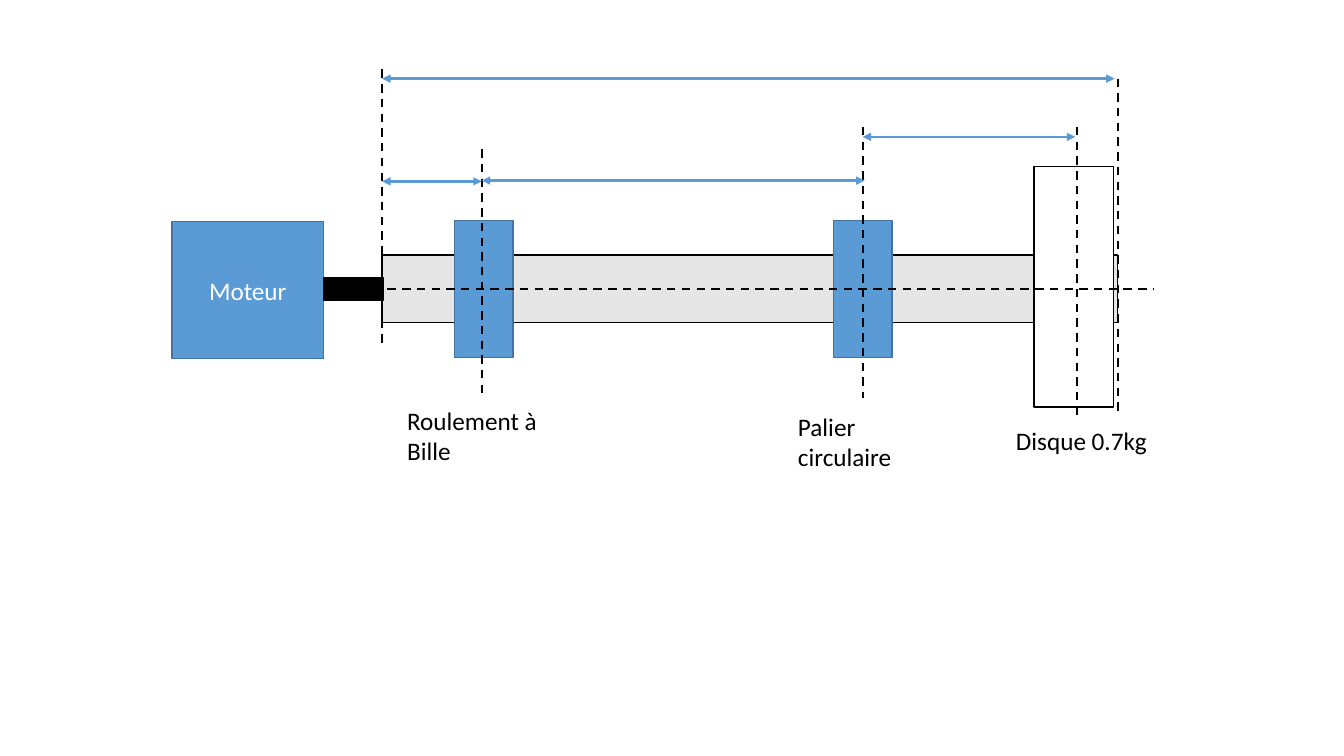
from dataclasses import dataclass

from lxml import etree
from pptx import Presentation
from pptx.dml.color import RGBColor
from pptx.enum.dml import MSO_LINE
from pptx.enum.shapes import MSO_CONNECTOR, MSO_SHAPE
from pptx.enum.text import MSO_ANCHOR, PP_ALIGN
from pptx.oxml.ns import qn
from pptx.util import Cm, Pt

RECT = MSO_SHAPE.RECTANGLE
STRAIGHT = MSO_CONNECTOR.STRAIGHT
DASH = MSO_LINE.DASH
MIDDLE, TOP = MSO_ANCHOR.MIDDLE, MSO_ANCHOR.TOP
LEFT, CENTER = PP_ALIGN.LEFT, PP_ALIGN.CENTER


@dataclass(frozen=True)
class Theme:
    font: str = "Calibri"
    size: int = 18
    blue: str = "5B9BD5"
    blue_edge: str = "43739E"
    grey: str = "E7E6E6"
    black: str = "000000"
    white: str = "FFFFFF"
    edge: float = 1
    dash: float = 1.5
    dimension: float = 2


THEME = Theme()


def rgb(value):
    return RGBColor.from_string(value)


def write(sp, text, color, align, anchor):
    tf = sp.text_frame
    for name, value in {"word_wrap": True, "vertical_anchor": anchor}.items():
        setattr(tf, name, value)
    p = tf.paragraphs[0]
    p.alignment = align
    r = p.add_run()
    r.text = text
    for name, value in {"name": THEME.font, "size": Pt(THEME.size)}.items():
        setattr(r.font, name, value)
    r.font.color.rgb = rgb(color)


def add_block(s, box, fill, edge, text=None):
    sp = s.shapes.add_shape(RECT, *map(Cm, box))
    sp.shadow.inherit = False
    sp.fill.solid()
    sp.fill.fore_color.rgb = rgb(fill)
    sp.line.color.rgb = rgb(edge)
    sp.line.width = Pt(THEME.edge)
    if text:
        write(sp, text, THEME.white, CENTER, MIDDLE)


def add_label(s, text, left, top, width, align=LEFT):
    sp = s.shapes.add_textbox(Cm(left), Cm(top), Cm(width), Cm(1.02))
    write(sp, text, THEME.black, align, TOP)


def add_line(s, x1, y1, x2, y2, color, width):
    line = s.shapes.add_connector(STRAIGHT, Cm(x1), Cm(y1), Cm(x2), Cm(y2))
    line.line.color.rgb = rgb(color)
    line.line.width = Pt(width)
    etree.SubElement(line._element.spPr, qn("a:effectLst"))
    return line


def add_dashed(s, x1, y1, x2, y2):
    add_line(s, x1, y1, x2, y2, THEME.black, THEME.dash).line.dash_style = DASH


def add_dimension(s, x1, x2, y):
    line = add_line(s, x1, y, x2, y, THEME.blue, THEME.dimension)
    ln = line.line._get_or_add_ln()
    for end in ("a:headEnd", "a:tailEnd"):
        etree.SubElement(ln, qn(end), type="triangle")


def main():
    prs = Presentation()
    prs.slide_width, prs.slide_height = Cm(33.87), Cm(19.05)
    s = prs.slides.add_slide(prs.slide_layouts[6])

    # Positions along the shaft
    start, bearing, journal, disc, end = 9.63, 12.14, 21.74, 27.15, 28.17

    # Shaft, two supports and disc
    add_block(s, (start, 6.43, end - start, 1.7), THEME.grey, THEME.black)
    for left in (11.46, 21.01):
        add_block(s, (left, 5.56, 1.47, 3.45), THEME.blue, THEME.blue_edge)
    add_block(s, (26.06, 4.19, 2.01, 6.07), THEME.white, THEME.black)

    # Shaft axis and reference lines
    add_dashed(s, 9.02, 7.29, 29.06, 7.29)
    for x, top, bottom in (
        (bearing, 3.76, 10.03),
        (journal, 3.2, 10.03),
        (disc, 3.2, 10.59),
        (start, 1.75, 8.71),
        (end, 1.98, 10.41),
    ):
        add_dashed(s, x, top, x, bottom)

    # Dimension arrows
    for x1, x2, y in (
        (bearing, 21.79, 4.55),
        (journal, 27.1, 3.45),
        (start, 28.09, 1.98),
        (start, bearing, 4.57),
    ):
        add_dimension(s, x1, x2, y)

    # Motor and its coupling
    add_block(s, (4.34, 5.59, 3.81, 3.45), THEME.blue, THEME.blue_edge, "Moteur")
    add_block(s, (8.15, 6.99, 1.5, 0.58), THEME.black, THEME.black)

    # Labels
    add_label(s, "Roulement à Bille", 10.01, 10.08, 4.27)
    add_label(s, "Palier circulaire", 19.86, 10.24, 3.78)
    add_label(s, "Disque 0.7kg", 24.84, 10.59, 4.83, CENTER)

    prs.save("out.pptx")


if __name__ == "__main__":
    main()
